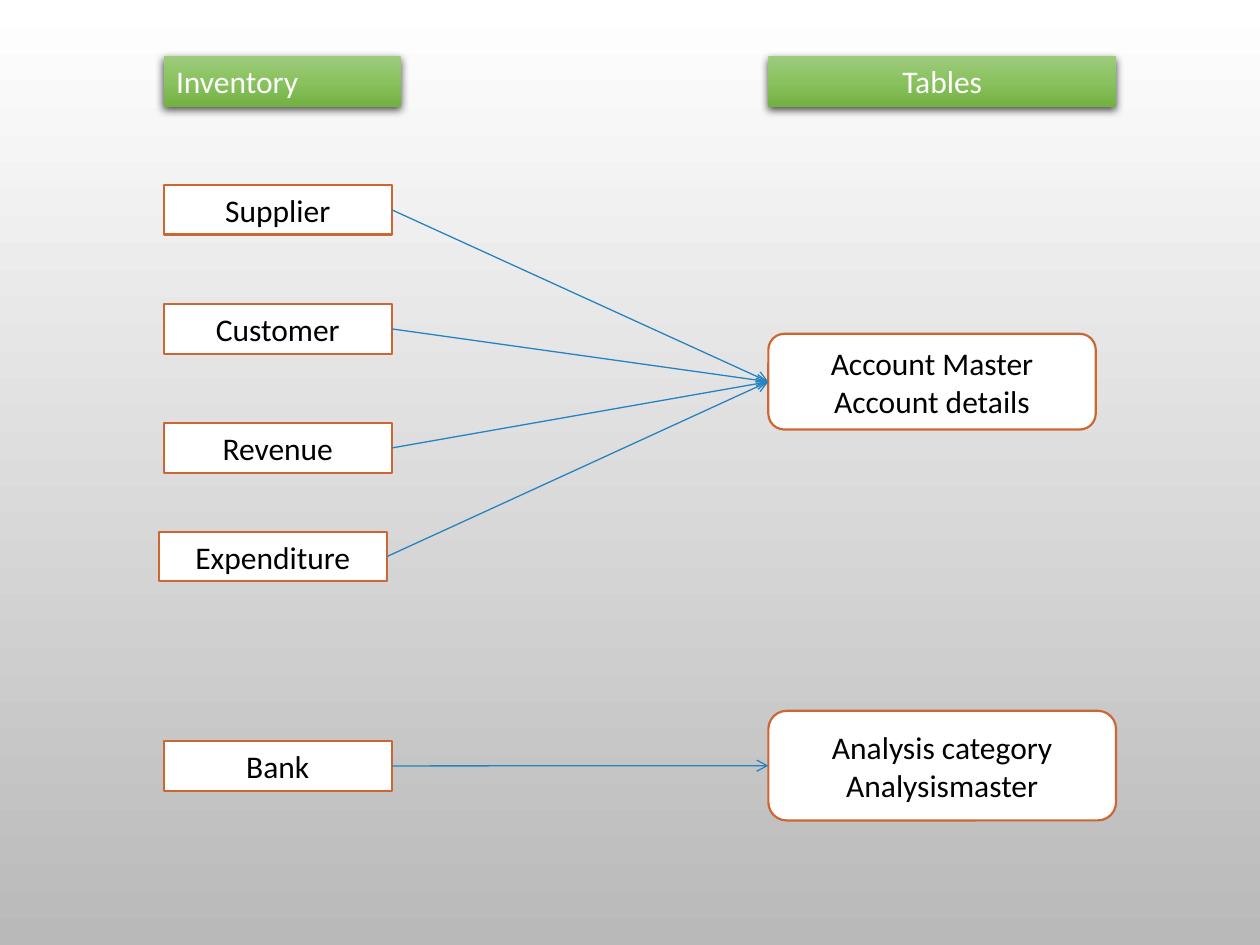
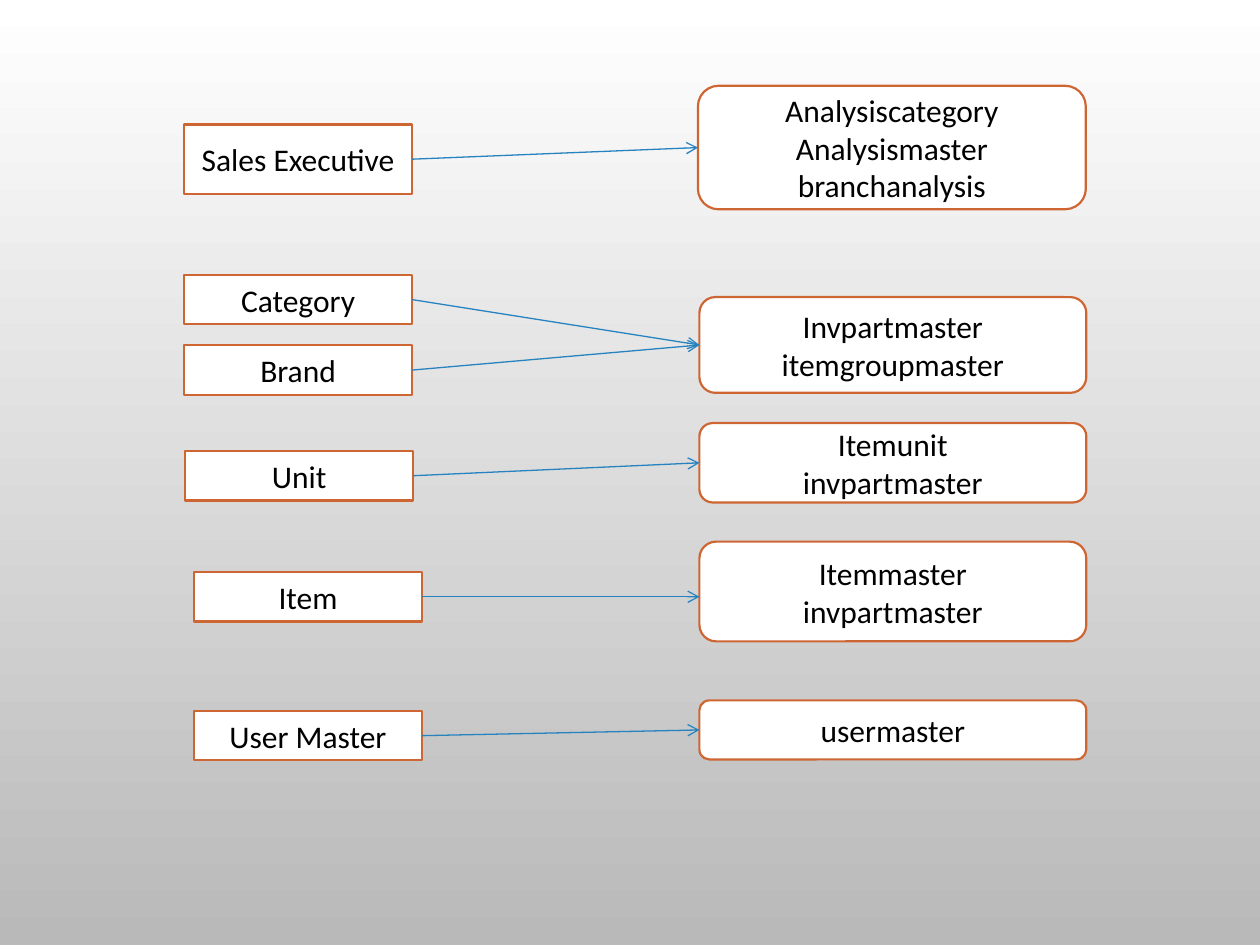
from copy import deepcopy

from lxml import etree
from pptx import Presentation
from pptx import util as u
from pptx.dml.color import RGBColor
from pptx.enum import shapes, text
from pptx.oxml.ns import qn

# Shared look
WHITE = RGBColor(0xFF, 0xFF, 0xFF)
BLACK = RGBColor(0x00, 0x00, 0x00)
GREY = RGBColor(0xB9, 0xB9, 0xB9)
ORANGE = RGBColor(0xCE, 0x66, 0x33)
BLUE = RGBColor(0x26, 0x83, 0xBF)
GREENS = [RGBColor(0x9E, 0xCC, 0x7E), RGBColor(0x8A, 0xC2, 0x5F), RGBColor(0x73, 0xB1, 0x42)]
FONT = {"name": "Calibri", "size": u.Pt(18)}
RECT = shapes.MSO_SHAPE.RECTANGLE
ROUNDED = shapes.MSO_SHAPE.ROUNDED_RECTANGLE
CENTER, LEFT = text.PP_ALIGN.CENTER, text.PP_ALIGN.LEFT
LEFT_SIDE, RIGHT_SIDE = 1, 3
ITEM_W, ITEM_H = 4.6, 1.0

# Column edges and table widths, in cm
INVENTORY_X, TABLES_X, TABLES_W = 3.3, 15.49, 7.01
SALES_X, USER_X = 3.71, 3.91
DETAIL_X, DETAIL_W = 14.1, 7.8

# Each group: table lines, table box, items as (label, left, top, height)
pages = [
    [
        (["Account Master", "Account details"], (TABLES_X, 6.73, 6.6, 1.93),
         [(label, INVENTORY_X, 3.73 + 2.4 * row, ITEM_H)
          for row, label in enumerate(["Supplier", "Customer", "Revenue"])]
         + [("Expenditure", 3.2, 10.72, ITEM_H)]),
        (["Analysis category", "Analysismaster"], (TABLES_X, 14.33, TABLES_W, 2.21),
         [("Bank", INVENTORY_X, 14.94, ITEM_H)]),
    ],
    [
        (["Analysiscategory", "Analysismaster", "branchanalysis"], (14.07, 1.73, 7.82, 2.49),
         [("Sales Executive", SALES_X, 2.51, 1.4)]),
        (["Invpartmaster", "itemgroupmaster"], (DETAIL_X, 5.99, DETAIL_W, 1.93),
         [("Category", SALES_X, 5.54, ITEM_H), ("Brand", SALES_X, 6.96, ITEM_H)]),
        (["Itemunit", "invpartmaster"], (DETAIL_X, 8.53, DETAIL_W, 1.6),
         [("Unit", 3.73, 9.09, ITEM_H)]),
        (["Itemmaster", "invpartmaster"], (DETAIL_X, 10.92, DETAIL_W, 2.01),
         [("Item", USER_X, 11.53, ITEM_H)]),
        (["usermaster"], (DETAIL_X, 14.12, DETAIL_W, 1.19),
         [("User Master", USER_X, 14.33, ITEM_H)]),
    ],
]
level_arrows = {"Item"}  # run flat, beside the middle of the table box
headings = [("Inventory", INVENTORY_X, 4.78, LEFT), ("Tables", TABLES_X, TABLES_W, CENTER)]


def add_box(slide, kind, place, lines, color=BLACK, align=CENTER):
    box = slide.shapes.add_shape(kind, *[u.Cm(length) for length in place])
    box.shadow.inherit = False
    box.fill.solid()
    box.fill.fore_color.rgb = WHITE
    box.line.color.rgb = ORANGE
    box.line.width = u.Pt(1.25)
    frame = box.text_frame
    frame.word_wrap = True
    frame.vertical_anchor = text.MSO_ANCHOR.MIDDLE
    frame.text = "\n".join(lines)
    for paragraph in frame.paragraphs:
        paragraph.alignment = align
        for key, value in FONT.items():
            setattr(paragraph.font, key, value)
        paragraph.font.color.rgb = color
    return box


def fade_down(fill, colors):
    fill.gradient()
    fill.gradient_angle = 270
    first = fill.gradient_stops[0]._gs
    for _ in colors[2:]:
        first.addnext(deepcopy(first))
    for index, (stop, color) in enumerate(zip(fill.gradient_stops, colors)):
        stop.position = index / (len(colors) - 1)
        stop.color.rgb = color


deck = Presentation()
deck.slide_width, deck.slide_height = u.Cm(25.4), u.Cm(19.05)

for groups in pages:
    slide = deck.slides.add_slide(deck.slide_layouts[6])
    fade_down(slide.background.fill, [WHITE, GREY])

    # Items on the left, each with an arrow to its table on the right
    for table_lines, table_place, items in groups:
        table_box = add_box(slide, ROUNDED, table_place, table_lines)
        for label, left, top, height in items:
            item_box = add_box(slide, RECT, (left, top, ITEM_W, height), [label])
            middle = u.Cm(top + height / 2)
            arrow = slide.shapes.add_connector(
                shapes.MSO_CONNECTOR.STRAIGHT,
                u.Cm(left + ITEM_W), middle, table_box.left, middle)
            arrow.begin_connect(item_box, RIGHT_SIDE)
            if label not in level_arrows:
                arrow.end_connect(table_box, LEFT_SIDE)
            arrow.line.color.rgb = BLUE
            arrow.line.width = u.Pt(0.75)
            etree.SubElement(arrow.line._get_or_add_ln(), qn("a:tailEnd"), type="arrow")
            etree.SubElement(arrow._element.spPr, qn("a:effectLst"))

# Green column headings on the first slide
for heading, left, width, align in headings:
    band = add_box(deck.slides[0], RECT, (left, 1.12, width, 1.03), [heading], WHITE, align)
    fade_down(band.fill, GREENS)
    band.line.fill.background()
    band.text_frame.vertical_anchor = text.MSO_ANCHOR.TOP
    band.text_frame.auto_size = text.MSO_AUTO_SIZE.SHAPE_TO_FIT_TEXT
    effects = band._element.spPr.find(qn("a:effectLst"))
    shadow = etree.SubElement(effects, qn("a:outerShdw"), blurRad=str(u.Pt(5)),
                              dist=str(u.Pt(2)), dir="5400000", rotWithShape="0")
    shade = etree.SubElement(shadow, qn("a:srgbClr"), val=str(BLACK))
    etree.SubElement(shade, qn("a:alpha"), val="69000")

deck.save("out.pptx")
